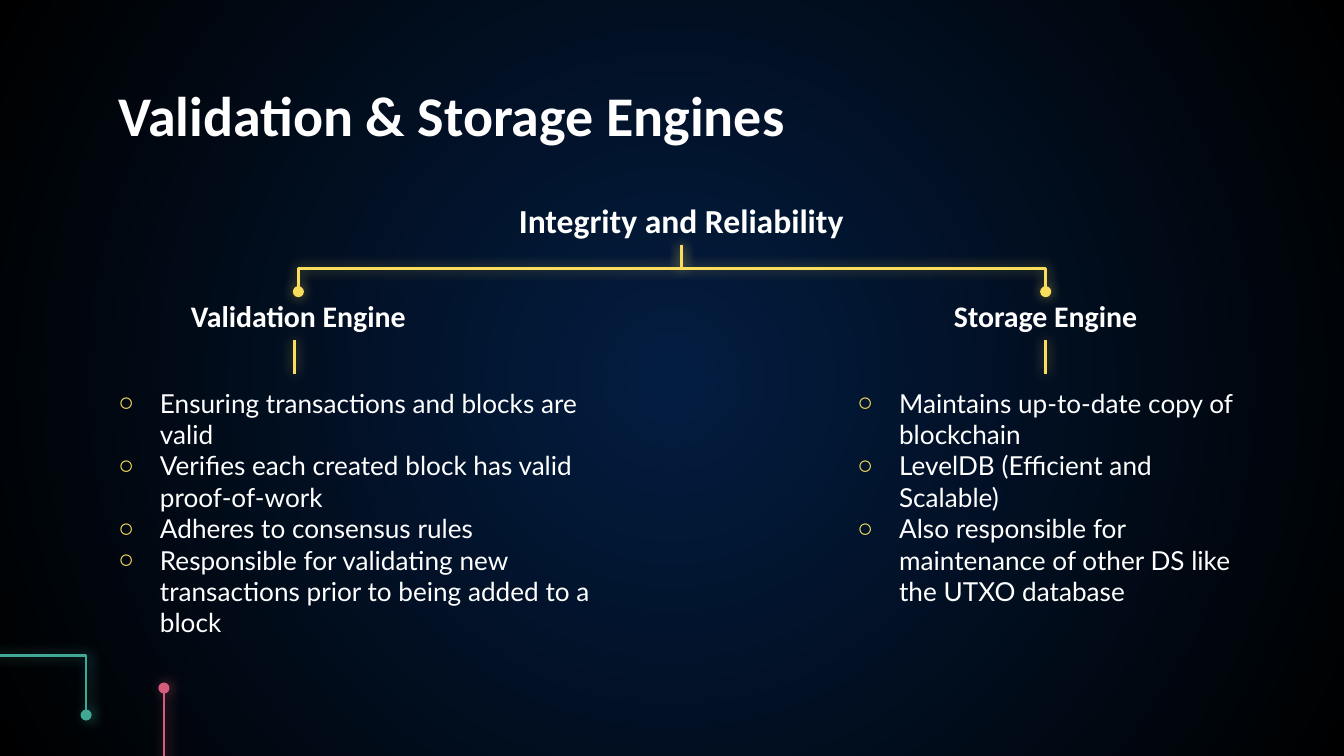
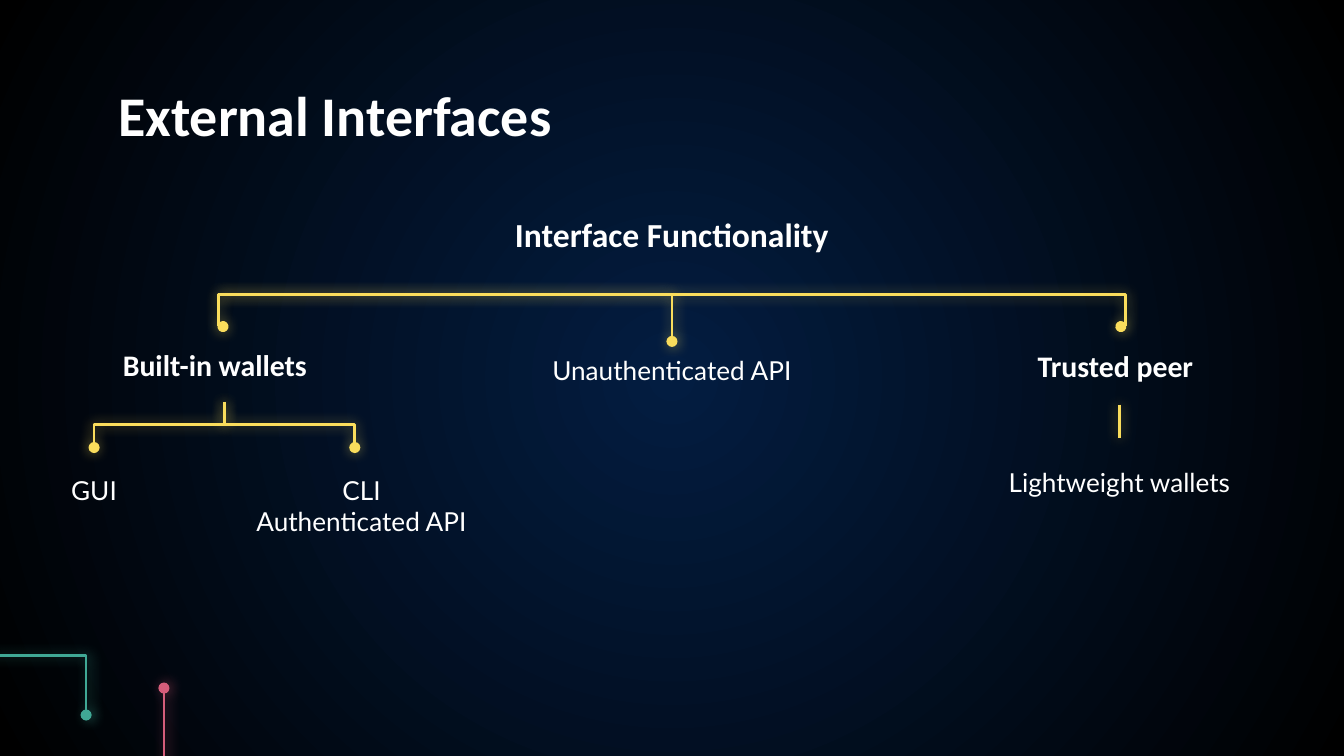
from pptx import Presentation
from pptx.dml.color import RGBColor
from pptx.enum.shapes import MSO_CONNECTOR
from pptx.enum.text import MSO_ANCHOR, MSO_AUTO_SIZE, PP_ALIGN
from pptx.oxml import parse_xml
from pptx.oxml.ns import nsdecls, qn
from pptx.util import Inches, Pt

STRAIGHT, ELBOW = MSO_CONNECTOR.STRAIGHT, MSO_CONNECTOR.ELBOW
LEFT, CENTER = PP_ALIGN.LEFT, PP_ALIGN.CENTER
TOP, MIDDLE = MSO_ANCHOR.TOP, MSO_ANCHOR.MIDDLE
TWO_CONTENT, TITLE_ONLY = 3, 5
BOTTOM_SIDE, TOP_SIDE = 2, 0
PAGE_WIDTH = 10
PAGE_HEIGHT = PAGE_WIDTH * 9 / 16

WHITE, YELLOW, PINK, TEAL = "FFFFFF", "FADD5C", "D55D7A", "40A895"
GLOW_CENTER, GLOW_EDGE = "031D41", "000000"

TITLE_AT = (0.78, 0.59, 8.44, 0.52)
TITLE = dict(size=30, font="Calibri", bold=True, align=LEFT, anchor=MIDDLE)
ROOT = dict(size=18, font="Calibri", bold=True, anchor=MIDDLE)
BRANCH = dict(size=16, font="Calibri", bold=True, anchor=MIDDLE)
LEAF = dict(size=14, font="Lato")
LIST = dict(size=14, font="Lato", align=LEFT, bullet="○")

ENGINES_TITLE = "Validation & Storage Engines"
ENGINES_ROOT = ("Integrity and Reliability", (2.07, 1.46, 6, 0.36))
ENGINES = [
    dict(heading="Validation Engine", heading_at=(0.72, 2.17, 3, 0.36),
         list_at=(0.78, 2.78, 3.74, 0.87), stem_x=2.19,
         duties=["Ensuring transactions and blocks are valid",
                 "Verifies each created block has valid proof-of-work",
                 "Adheres to consensus rules",
                 "Responsible for validating new transactions prior to being "
                 "added to a block"]),
    dict(heading="Storage Engine", heading_at=(6.28, 2.17, 3, 0.36),
         list_at=(6.28, 2.78, 3, 0.87), stem_x=7.78,
         duties=["Maintains up-to-date copy of blockchain",
                 "LevelDB (Efficient and Scalable)",
                 "Also responsible for maintenance of other DS like the UTXO "
                 "database"]),
]

INTERFACES_TITLE = "External Interfaces"
INTERFACES = [
    (["Interface Functionality"], (2, 1.56, 6, 0.36), ROOT),
    (["Built-in wallets"], (0.1, 2.53, 3, 0.36), BRANCH),
    (["Trusted peer"], (6.8, 2.54, 3, 0.36), BRANCH),
    (["Unauthenticated API"], (3.5, 2.54, 3, 0.65), LEAF),
    (["GUI"], (0.33, 3.43, 0.74, 0.36), LEAF),
    (["CLI", "Authenticated API"], (1.19, 3.43, 3, 0.87), LEAF),
    (["Lightweight wallets"], (6.83, 3.37, 3, 0.65), LEAF),
]
TRUNK = (5, 2.19)
SIDE_ENDS = [(8.34, 2.43), (1.66, 2.43)]
WALLET_FORK = (1.67, 2.99)
WALLET_ENDS = [(0.7, 3.33), (2.64, 3.33)]
PEER_STEM = ((8.33, 3.01), (8.33, 3.26))


def color(code):
    return RGBColor.from_string(code)


def inches(values):
    return [Inches(value) for value in values]


def drawing(tag, attributes="", inner=""):
    return parse_xml(f'<a:{tag} {nsdecls("a")} {attributes}>{inner}</a:{tag}>')


def write(box, lines, size, font, bold=False, align=CENTER, anchor=TOP, bullet=None):
    frame = box.text_frame
    frame.word_wrap = True
    frame.auto_size = MSO_AUTO_SIZE.NONE
    frame.vertical_anchor = anchor
    frame.margin_left = frame.margin_right = Inches(0.1)
    frame.margin_top = frame.margin_bottom = Inches(0.1)
    for number, line in enumerate(lines):
        para = frame.add_paragraph() if number else frame.paragraphs[0]
        para.alignment = align
        para.space_before = Pt(0)
        span = para.add_run()
        span.text = line
        span.font.size = Pt(size)
        span.font.name = font
        span.font.bold = bold
        span.font.color.rgb = color(WHITE)
        if bullet:
            props = para._p.get_or_add_pPr()
            props.set("marL", str(Inches(0.31)))
            props.set("indent", str(Inches(-0.35)))
            props.append(drawing("buClr", inner=f'<a:srgbClr val="{YELLOW}"/>'))
            props.append(drawing("buFont", 'typeface="Arial"'))
            props.append(drawing("buChar", f'char="{bullet}"'))


def add_text(page, lines, at, **style):
    box = page.shapes.add_textbox(*inches(at))
    write(box, lines, **style)
    return box


def fill_placeholder(box, lines, at, **style):
    box.left, box.top, box.width, box.height = inches(at)
    write(box, lines, **style)


def glow(line, code, dots=(), distance=0):
    """Color a connector, give it round ends and a soft halo."""
    line.line.color.rgb = color(code)
    line.line.width = Pt(1.5)
    outline = line.line._get_or_add_ln()
    for end in dots:
        outline.append(drawing(end, 'type="oval"'))
    halo = (f'<a:outerShdw blurRad="{Pt(6.75)}" dist="{Pt(distance)}" dir="0">'
            f'<a:srgbClr val="{code}"><a:alpha val="50000"/></a:srgbClr>'
            '</a:outerShdw>')
    line.element.spPr.append(drawing("effectLst", inner=halo))
    return line


def add_straight(page, start, end, code=YELLOW, **look):
    line = page.shapes.add_connector(STRAIGHT, *inches(start + end))
    return glow(line, code, **look)


def add_drop(page, start, end, code=YELLOW, dots=("tailEnd",), **look):
    """Elbow that leaves downwards, crosses at half height, and ends downwards."""
    (x1, y1), (x2, y2) = start, end
    middle_x, middle_y = (x1 + x2) / 2, (y1 + y2) / 2
    rightwards = x2 > x1
    half_drop = (y2 - y1) / 2 * (-1 if rightwards else 1)
    half_span = abs(x2 - x1) / 2
    line = page.shapes.add_connector(ELBOW, *inches((
        middle_x - half_drop, middle_y - half_span,
        middle_x + half_drop, middle_y + half_span)))
    angle = 270 if rightwards else 90
    line.element.spPr.find(qn("a:xfrm")).set("rot", str(angle * 60000))
    return glow(line, code, dots, **look)


def add_across(page, start, end, preset="bentConnector3", bend=None):
    """Elbow that leaves sideways; bend is the turning point as a share of width."""
    line = page.shapes.add_connector(ELBOW, *inches(start + end))
    geometry = line.element.spPr.find(qn("a:prstGeom"))
    geometry.set("prst", preset)
    if bend:
        guide = drawing("gd", f'name="adj1" fmla="val {round(bend * 100000)}"')
        geometry.find(qn("a:avLst")).append(guide)
    return glow(line, YELLOW, ("tailEnd",))


def set_background(master):
    master.background.fill.solid()
    props = master.element.cSld.find(qn("p:bg")).find(qn("p:bgPr"))
    stops = "".join(f'<a:gs pos="{place}"><a:srgbClr val="{code}"/></a:gs>'
                    for place, code in ((0, GLOW_CENTER), (100000, GLOW_EDGE)))
    center = '<a:fillToRect l="50000" t="50000" r="50000" b="50000"/>'
    gradient = drawing("gradFill", 'rotWithShape="1"',
                       f'<a:gsLst>{stops}</a:gsLst><a:path path="circle">{center}</a:path>')
    props.replace(props.find(qn("a:solidFill")), gradient)


def decorate(master, page):
    """Draw the corner lines on a page and move them to the master."""
    look = dict(dots=("headEnd", "tailEnd"), distance=1.5)
    corner = [add_straight(page, (1.22, 6.16), (1.22, 5.12), PINK, **look),
              add_drop(page, (-0.25, 4.43), (0.64, 5.32), TEAL, **look)]
    for number, line in enumerate(corner, 100):
        line.element.nvCxnSpPr.cNvPr.set("id", str(number))
        master.element.cSld.spTree.append(line.element)


def add_page(deck, layout, title):
    page = deck.slides.add_slide(deck.slide_layouts[layout])
    fill_placeholder(page.shapes.title, [title], TITLE_AT, **TITLE)
    return page


def build_engines(deck):
    page = add_page(deck, TWO_CONTENT, ENGINES_TITLE)
    text, root_at = ENGINES_ROOT
    add_text(page, [text], root_at, **ROOT)
    left, top, width, height = root_at
    fork = (left + width / 2, top + height)
    for number, engine in enumerate(ENGINES, 1):
        left, top, width, height = engine["heading_at"]
        center, bottom = left + width / 2, top + height
        heading = add_text(page, [engine["heading"]], engine["heading_at"], **BRANCH)
        duties = page.placeholders[number]
        fill_placeholder(duties, engine["duties"], engine["list_at"], **LIST)
        add_drop(page, fork, (center, top))
        x = engine["stem_x"]
        stem = add_straight(page, (x, bottom), (x, engine["list_at"][1]))
        if abs(x - center) < 0.01:
            stem.begin_connect(heading, BOTTOM_SIDE)
            stem.end_connect(duties, TOP_SIDE)
    return page


def build_interfaces(deck):
    page = add_page(deck, TITLE_ONLY, INTERFACES_TITLE)
    for lines, at, style in INTERFACES:
        add_text(page, lines, at, **style)
    add_across(page, (1.63, TRUNK[1]), (TRUNK[0], 2.54), "bentConnector2")
    for end in SIDE_ENDS:
        add_across(page, TRUNK, end, bend=1.01)
    for end in WALLET_ENDS:
        add_drop(page, WALLET_FORK, end)
    add_straight(page, *PEER_STEM)


def main():
    deck = Presentation()
    deck.slide_width, deck.slide_height = inches((PAGE_WIDTH, PAGE_HEIGHT))
    set_background(deck.slide_master)
    first = build_engines(deck)
    decorate(deck.slide_master, first)
    build_interfaces(deck)
    deck.save("out.pptx")


if __name__ == "__main__":
    main()
